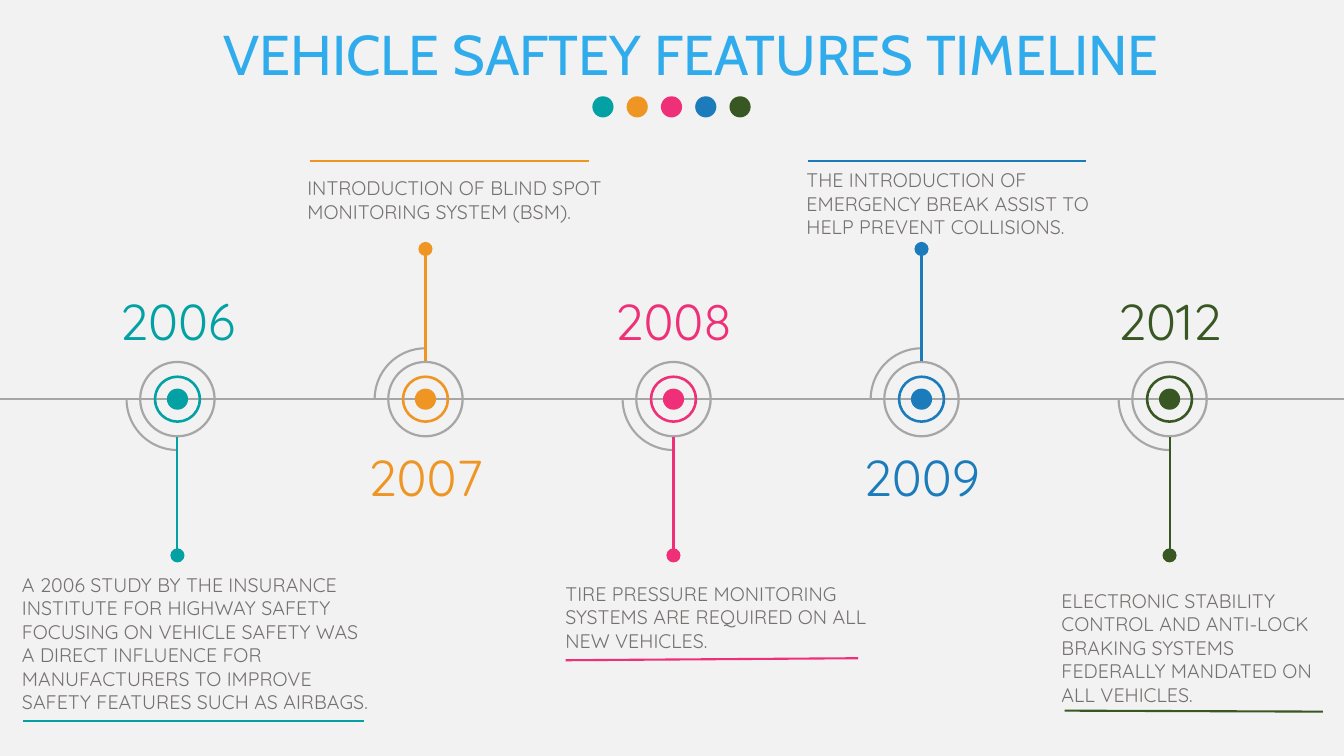
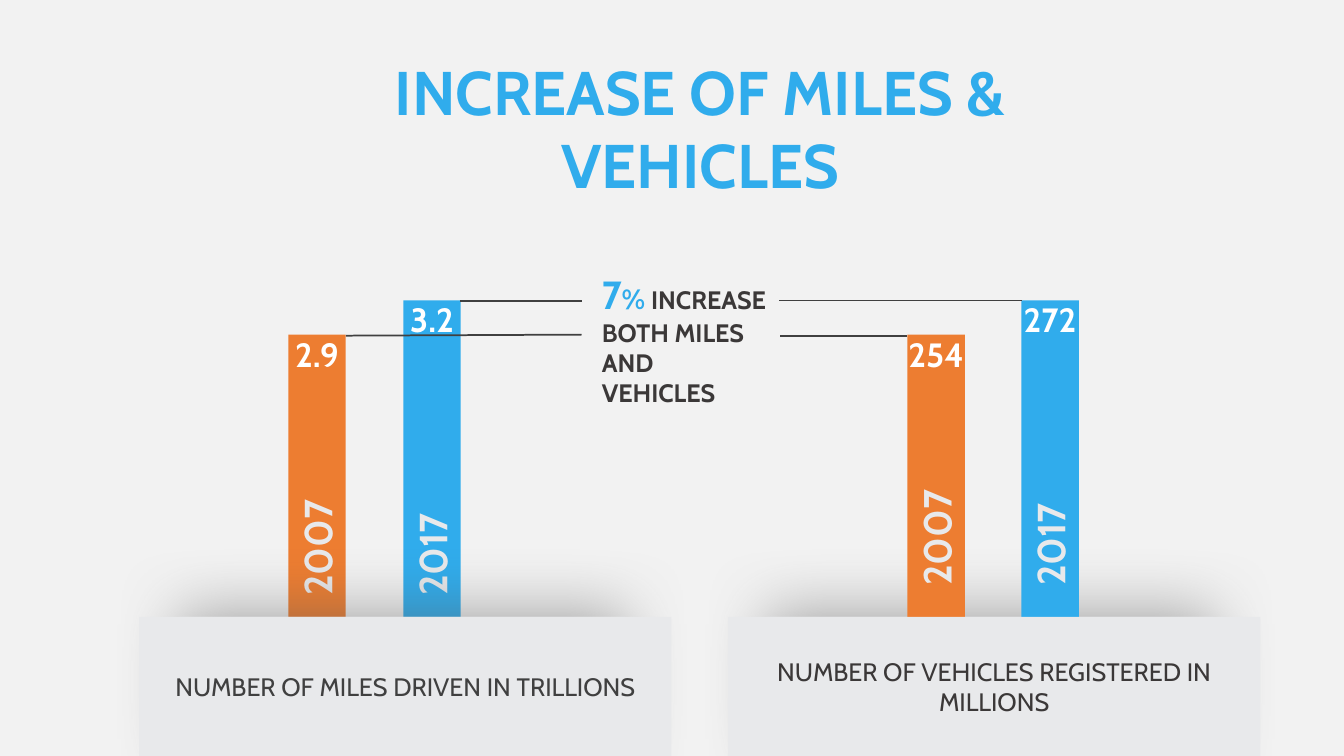
from lxml.etree import SubElement
from pptx import Presentation
from pptx.dml.color import RGBColor
from pptx.enum.shapes import MSO_CONNECTOR, MSO_SHAPE
from pptx.enum.text import MSO_ANCHOR, MSO_AUTO_SIZE, PP_ALIGN
from pptx.oxml.ns import qn
from pptx.util import Inches, Pt

BACKGROUND = "F2F2F2"
SKY = "30ACEC"
ORANGE = "ED7D31"
TEAL, AMBER, PINK, BLUE, GREEN = "03A1A4", "EE9524", "EF3078", "1C7CBB", "385723"
RING_GREY = "A6A6A6"
BODY_GREY = "767171"
PANEL_GREY = "E8E9EB"
DARK = "404040"
INK = "3B3838"
WHITE = "FFFFFF"
TITLE_FONT, BODY_FONT = "Cabin", "Quicksand"

AXIS_Y = 3.96
FIRST_X, STEP_X = 1.76, 2.46
# Where a milestone's parts go: arc rotation, stem start and end, year top
BELOW = {"rotation": 0, "stem": (4.34, 5.51), "year_top": 2.83}
ABOVE = {"rotation": 90, "stem": (3.58, 2.47), "year_top": 4.38}

# year, colour, side, description, its left, top, width, rule start and end
MILESTONES = [
    ("2006", TEAL, BELOW,
     "A 2006 STUDY BY THE INSURANCE INSTITUTE FOR HIGHWAY SAFETY FOCUSING ON "
     "VEHICLE SAFETY WAS A DIRECT INFLUENCE FOR MANUFACTURERS TO IMPROVE "
     "SAFETY FEATURES SUCH AS AIRBAGS.",
     (0.12, 5.63, 3.64), (0.23, 7.15), (3.61, 7.15)),
    ("2007", AMBER, ABOVE,
     "INTRODUCTION OF BLIND SPOT\nMONITORING SYSTEM (BSM).",
     (2.95, 1.7, 3.22), (3.07, 1.6), (5.84, 1.6)),
    ("2008", PINK, BELOW,
     "TIRE PRESSURE MONITORING\nSYSTEMS ARE REQUIRED ON ALL\nNEW VEHICLES.",
     (5.51, 5.72, 3.5), (5.61, 6.55), (8.51, 6.53)),
    ("2009", BLUE, ABOVE,
     "THE INTRODUCTION OF EMERGENCY BREAK ASSIST TO HELP PREVENT COLLISIONS.",
     (7.9, 1.62, 3.14), (8.01, 1.6), (10.77, 1.6)),
    ("2012", GREEN, BELOW,
     "ELECTRONIC STABILITY CONTROL AND ANTI-LOCK BRAKING SYSTEMS FEDERALLY "
     "MANDATED ON ALL VEHICLES.",
     (10.43, 5.79, 2.9), (10.56, 7.05), (13.12, 7.06)),
]

BAR_WIDTH = 0.57
PANEL_TOP, PANEL_HEIGHT = 6.12, 1.38


def colour(value):
    return RGBColor.from_string(value)


def write(frame, text, size=18, color=DARK, font=TITLE_FONT, bold=False,
          align=PP_ALIGN.LEFT, anchor=MSO_ANCHOR.TOP):
    """Fill a frame from a string, or from paragraphs of (text, size, color)."""
    frame.word_wrap = True
    frame.auto_size = MSO_AUTO_SIZE.NONE
    frame.vertical_anchor = anchor
    if isinstance(text, str):
        text = [[(line, size, color)] for line in text.split("\n")]
    for index, spans in enumerate(text):
        para = frame.add_paragraph() if index else frame.paragraphs[0]
        para.alignment = align
        para.line_spacing = 1.0
        for words, span_size, span_color in spans:
            span = para.add_run()
            span.text = words
            span.font.size = Pt(span_size)
            span.font.name = font
            span.font.bold = bold
            span.font.color.rgb = colour(span_color)


def add_text(page, text, left, top, width, height, rotation=0, **style):
    box = page.shapes.add_textbox(*map(Inches, (left, top, width, height)))
    box.rotation = rotation
    write(box.text_frame, text, **style)


def add_title(page, text, left, top, width, height, **style):
    title = page.shapes.title
    title.left, title.top, title.width, title.height = map(
        Inches, (left, top, width, height))
    write(title.text_frame, text, color=SKY, align=PP_ALIGN.CENTER, **style)


def add_solid(page, kind, left, top, width, height, fill):
    shape = page.shapes.add_shape(kind, *map(Inches, (left, top, width, height)))
    shape.shadow.inherit = False
    shape.fill.solid()
    shape.fill.fore_color.rgb = colour(fill)
    shape.line.fill.background()
    return shape


def add_round(page, center_x, center_y, size, fill, ring=None):
    """Add a disc, or a donut when a ring thickness is given."""
    kind = MSO_SHAPE.DONUT if ring else MSO_SHAPE.OVAL
    shape = add_solid(page, kind, center_x - size / 2, center_y - size / 2,
                      size, size, fill)
    if ring:
        shape.adjustments[0] = ring


def add_line(page, start, end, color, weight=1.5):
    line = page.shapes.add_connector(
        MSO_CONNECTOR.STRAIGHT, *map(Inches, (*start, *end)))
    line.line.color.rgb = colour(color)
    line.line.width = Pt(weight)
    SubElement(line._element.spPr, qn("a:effectLst"))


def add_quarter_arc(page, center_x, rotation):
    size = 1.01
    arc = page.shapes.add_shape(MSO_SHAPE.ARC, *map(Inches, (
        center_x - size / 2, AXIS_Y - size / 2, size, size)))
    arc.adjustments[0], arc.adjustments[1] = 54.2, 108.53
    arc.rotation = rotation
    arc.shadow.inherit = False
    arc.fill.background()
    arc.line.color.rgb = colour(RING_GREY)
    arc.line.width = Pt(1.5)


def add_milestone(page, x, year, color, side, description, place, start, end):
    stem_start, stem_end = side["stem"]
    add_quarter_arc(page, x, side["rotation"])
    add_round(page, x, AXIS_Y, 0.21, color)
    add_round(page, x, AXIS_Y, 0.47, color, ring=0.053)
    add_round(page, x, AXIS_Y, 0.76, RING_GREY, ring=0.029)
    add_line(page, (x, stem_start), (x, stem_end), color)
    add_round(page, x, stem_end, 0.14, color)
    add_text(page, year, x - 0.83, side["year_top"], 1.66, 0.71, size=36,
             color=color, font=BODY_FONT, align=PP_ALIGN.CENTER)
    height = 0.1 + 0.24 * 3
    add_text(page, description, *place, height, size=14, color=BODY_GREY,
             font=BODY_FONT)
    add_line(page, start, end, color)


def add_shadow_panel(page, left):
    """Add the narrow panel that casts a soft shadow upwards."""
    panel = add_solid(page, MSO_SHAPE.RECTANGLE, left, PANEL_TOP, 4.42,
                      PANEL_HEIGHT, PANEL_GREY)
    effects = panel._element.spPr.find(qn("a:effectLst"))
    shadow = SubElement(effects, qn("a:outerShdw"), blurRad=str(Pt(47)),
                        dist=str(Pt(4)), dir=str(270 * 60000), rotWithShape="0")
    tint = SubElement(shadow, qn("a:srgbClr"), val="595959")
    SubElement(tint, qn("a:alpha"), val="50000")


def add_caption_panel(page, left, caption, color):
    panel = add_solid(page, MSO_SHAPE.RECTANGLE, left, PANEL_TOP, 5.28,
                      PANEL_HEIGHT, PANEL_GREY)
    write(panel.text_frame, caption, color=color, align=PP_ALIGN.CENTER,
          anchor=MSO_ANCHOR.MIDDLE)


def add_bar(page, left, top, fill, year, value, year_bottom):
    center = left + BAR_WIDTH / 2
    add_solid(page, MSO_SHAPE.RECTANGLE, left, top, BAR_WIDTH,
              PANEL_TOP - top, fill)
    length, height = 1.5, 0.57
    add_text(page, year, center - length / 2,
             year_bottom - length / 2 - height / 2, length, height,
             rotation=270, size=28, color=PANEL_GREY, bold=True)
    add_text(page, value, center - 0.45, top - 0.06, 0.9, 0.5, size=24,
             color=WHITE, bold=True, align=PP_ALIGN.CENTER)


def add_bar_pair(page, lefts, values, year_bottom):
    bars = zip(lefts, (3.32, 2.98), (ORANGE, SKY), ("2007", "2017"), values)
    for bar in bars:
        add_bar(page, *bar, year_bottom)


def build_timeline(page):
    add_title(page, "VEHICLE SAFTEY FEATURES TIMELINE", 1.87, 0.14, 9.97, 0.77,
              size=40)
    add_line(page, (0, AXIS_Y), (13.33, AXIS_Y), RING_GREY)
    for index, milestone in enumerate(MILESTONES):
        add_milestone(page, FIRST_X + index * STEP_X, *milestone)
        add_round(page, 5.98 + index * 0.34, 1.06, 0.21, milestone[1])


def build_increase(page):
    add_title(page, "INCREASE OF MILES & VEHICLES", 2.4, 0.48, 9.09, 0.84,
              size=44, bold=True)
    add_bar_pair(page, (2.86, 4), ("2.9", "3.2"), 6.01)
    add_shadow_panel(page, 1.78)
    add_caption_panel(page, 1.38, "NUMBER OF MILES DRIVEN IN TRILLIONS", DARK)

    add_shadow_panel(page, 7.61)
    add_bar_pair(page, (9, 10.13), ("254", "272"), 5.91)
    add_caption_panel(page, 7.22, "NUMBER OF VEHICLES REGISTERED IN MILLIONS",
                      INK)

    for start, end in [((3.43, 3.33), (5.77, 3.32)), ((4.56, 2.99), (5.77, 2.99)),
                       ((7.74, 3.33), (9, 3.33)), ((7.73, 2.98), (10.14, 2.98))]:
        add_line(page, start, end, DARK, weight=1.25)
    add_text(page, [
        [("7", 28, SKY), ("%", 20, SKY), (" INCREASE", 18, INK)],
        [("BOTH MILES AND VEHICLES", 18, INK)],
    ], 5.87, 2.63, 1.89, 1.18, bold=True)


def main():
    deck = Presentation()
    deck.slide_width, deck.slide_height = Inches(13.33), Inches(7.5)
    backdrop = deck.slide_master.background.fill
    backdrop.solid()
    backdrop.fore_color.rgb = colour(BACKGROUND)
    title_only = deck.slide_layouts[5]
    for build in (build_timeline, build_increase):
        build(deck.slides.add_slide(title_only))
    deck.save("out.pptx")


if __name__ == "__main__":
    main()
